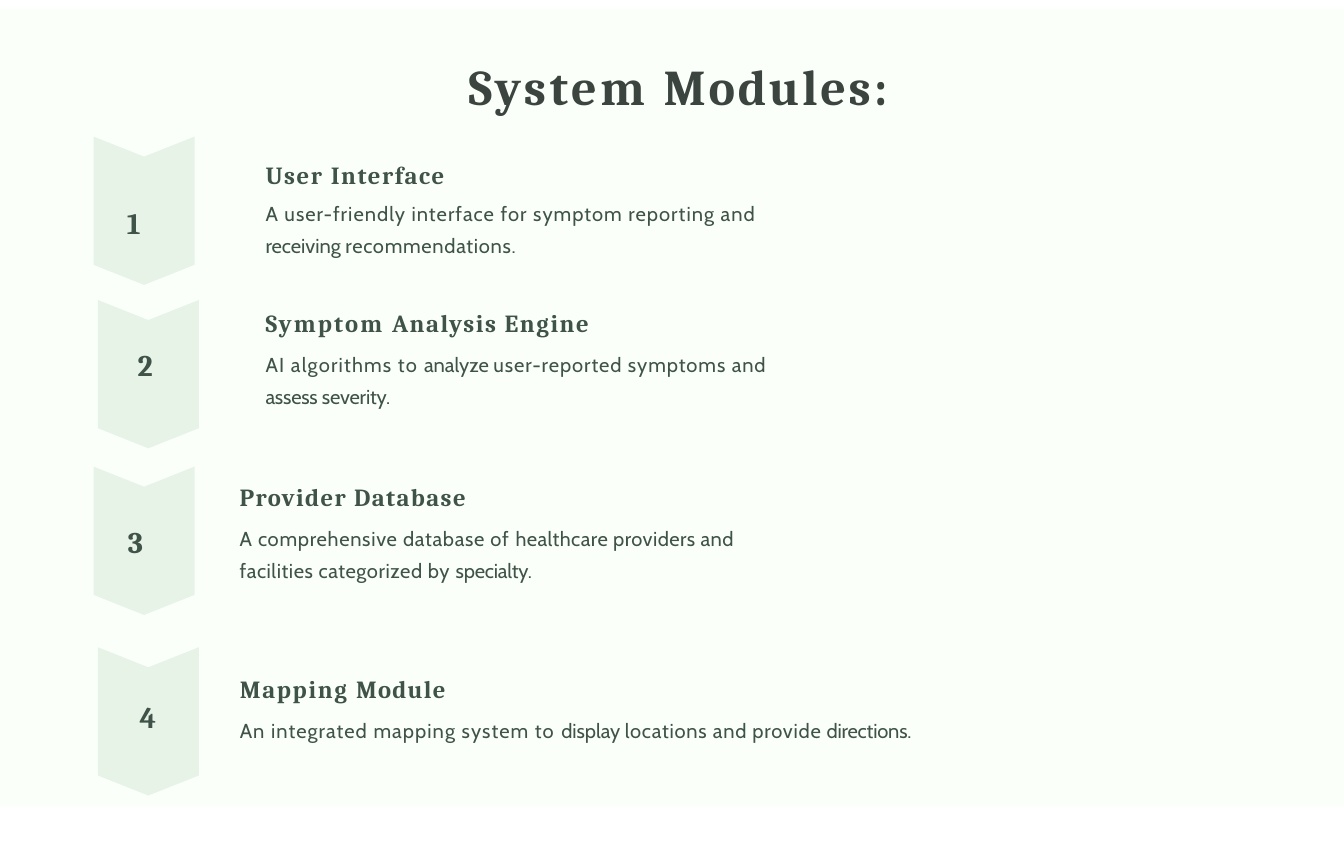
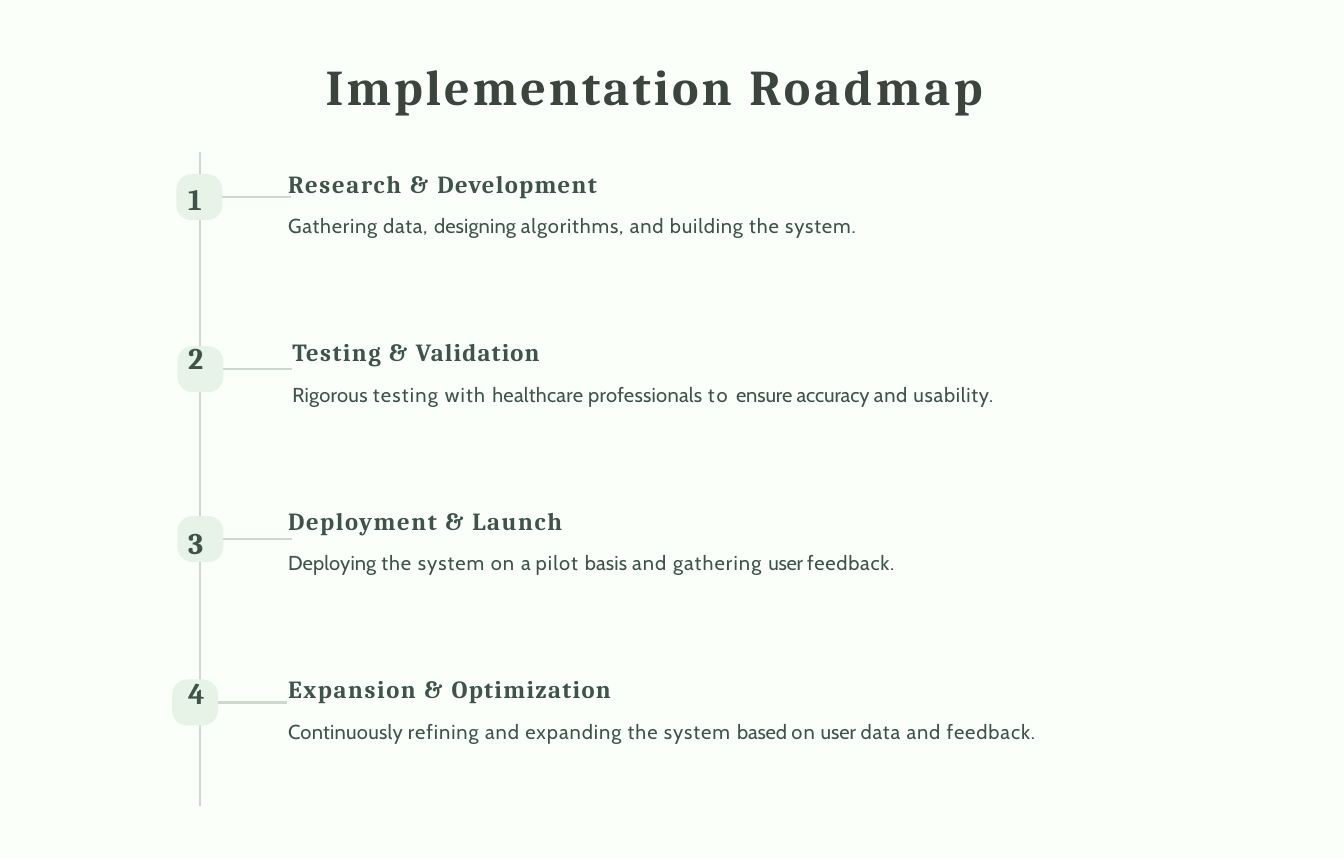
from pptx import Presentation
from pptx.dml.color import RGBColor
from pptx.enum.shapes import MSO_CONNECTOR as Line, MSO_SHAPE as Kind
from pptx.enum.text import MSO_AUTO_SIZE as Fit
from pptx.util import Inches, Pt
from lxml.etree import SubElement
from collections import namedtuple

WIDE, HIGH = 125, 79.9
CELL = Inches(0.1)
PALE, MINT, RULE = "FAFFFA", "E8F3E8", "CED9CE"
INK, DARK = "3F5349", "3B443F"
A_NS = "{http://schemas.openxmlformats.org/drawingml/2006/main}"

Style = namedtuple("Style", "font size tint bold before lead")
TITLE = Style("Cambria", 33.5, DARK, True, 1.2, 1)
DIGIT = Style("Cambria", 20, INK, True, 1.2, 1)
HEAD = Style("Cambria", 16.5, INK, True, 1.4, 1)
BODY = Style("Cabin", 13.5, INK, False, 4.7, 1.34)
LEAD = BODY._replace(before=1, lead=1.3)

MODULES = [
    (8.7, 12.7, 11.7, 18.8, 24.7, 14.7, 49, [("User Interface", 1.1)],
     [("A user-friendly interface for symptom reporting and ", 0.7),
      ("receiving ", 0), ("recommendations.", 0.5)]),
    (9.1, 27.9, 12.7, 32, 24.7, 28.4, 49,
     [("Symptom ", 1.5), ("Analysis Engine", 1.1)],
     [("AI algorithms to ", 0.78), ("analyze ", 0),
      ("user-reported symptoms and ", 0.64), ("assess severity.", -0.1)]),
    (8.7, 43.4, 11.8, 48.5, 22.3, 44.6, 52.7, [("Provider Database", 1)],
     [("A comprehensive database of ", 0.5),
      ("healthcare providers and ", 0.32),
      ("facilities categorized by ", 0.4), ("specialty.", -0.1)]),
    (9.1, 60.2, 12.9, 64.8, 22.3, 62.5, 92.9,
     [("Mapping ", 1.2), ("Module", 0.9)],
     [("An integrated mapping system to ", 0.73), ("display ", 0),
      ("locations and provide", 0.53), (" directions.", -0.1)]),
]

PHASES = [
    (16.4, 16.2, 16.6, 26.7, [("Research & ", 1.2), ("Development", 0.9)],
     [("Gathering data, ", 0.54), ("designing ", 0.1),
      ("algorithms, and building the system.", 0.6)]),
    (16.5, 32.2, 31.4, 27.1, [("Testing & ", 1), ("Validation", 0.8)],
     [("Rigorous ", 0.2), ("testing with ", 0.84),
      ("healthcare professionals ", 0.2), ("to ", 1.3),
      ("ensure accuracy ", -0.05), ("and usability.", 0.5)]),
    (16.5, 48, 48.6, 26.7, [("Deployment & Launch", 1.1)],
     [("Deploying ", 0.1), ("the system on ", 0.7), ("a ", 0.1),
      ("pilot ", 0.8), ("basis ", 0.1), ("and gathering ", 0.76),
      ("user ", -0.2), ("feedback.", 0.5)]),
    (16, 63.2, 62.6, 26.7, [("Expansion & ", 1.1), ("Optimization", 0.9)],
     [("Continuously ", 0.2), ("refining and expanding the system ", 0.64),
      ("based ", -0.1), ("on", 0.8), (" user ", 0),
      ("data and feedback.", 0.62)]),
]


def grid(*nums):
    """Turn grid units into whole lengths."""
    return [round(num * CELL) for num in nums]


def color(code):
    """Make a colour from a hex string."""
    return RGBColor.from_string(code)


def paint(shape, code):
    """Give a shape a flat fill without line or shadow."""
    shape.shadow.inherit = False
    shape.fill.solid()
    shape.fill.fore_color.rgb = color(code)
    shape.line.fill.background()
    return shape


def block(slide, kind, place, code):
    """Add a flat preset shape."""
    return paint(slide.shapes.add_shape(kind, *grid(*place)), code)


def write(slide, place, *paras):
    """Add a text box of (style, runs) paragraphs."""
    frame = slide.shapes.add_textbox(*grid(*place)).text_frame
    frame.word_wrap = True
    frame.auto_size = Fit.SHAPE_TO_FIT_TEXT
    frame.margin_left = frame.margin_right = frame.margin_bottom = 0
    frame.margin_top = Inches(0.02)
    for num, (style, runs) in enumerate(paras):
        para = frame.add_paragraph() if num else frame.paragraphs[0]
        para.space_before = Pt(style.before)
        para.line_spacing = style.lead
        font = para.font
        font.name, font.size, font.bold = style.font, Pt(style.size), style.bold
        font.color.rgb = color(style.tint)
        for text, gap in runs:
            run = para.add_run()
            run.text = text
            run.font._element.set("spc", str(round(gap * 100)))


def rule(slide, *ends):
    """Add a thin straight line."""
    line = slide.shapes.add_connector(Line.STRAIGHT, *grid(*ends))
    line.line.color.rgb = color(RULE)
    line.line.width = Pt(1.5)
    SubElement(line._element.spPr, A_NS + "effectLst")
    return line


def arrow(slide, left, top, wide=9.4, high=13.8, dip=1.87):
    """Add a notched arrow that points down."""
    mid, right, low = left + wide / 2, left + wide, top + high
    pen = slide.shapes.build_freeform(*grid(left, top), scale=1)
    pen.add_line_segments([grid(*spot) for spot in (
        (mid, top + dip), (right, top), (right, low - dip),
        (mid, low), (left, low - dip))])
    paint(pen.convert_to_shape(), MINT)


def badge(slide, left, top, size=4.28, reach=6.4):
    """Add a rounded badge with a branch to its right."""
    shape = block(slide, Kind.ROUNDED_RECTANGLE, (left, top, size, size), MINT)
    shape.adjustments[0] = 0.33
    mid, edge = top + size / 2, left + size
    rule(slide, edge, mid, edge + reach, mid).begin_connect(shape, 3)


def digit(slide, left, top, num):
    """Add a step number."""
    write(slide, (left + 0.1, top, 3, 3.7), (DIGIT, [(str(num), 0)]))


def page(deck, top, high, left, title):
    """Add a slide with its tinted ground and title."""
    slide = deck.slides.add_slide(deck.slide_layouts[6])
    block(slide, Kind.RECTANGLE, (0, top, WIDE, high), PALE)
    write(slide, (left, 5, 72, 5.8), (TITLE, title))
    return slide


def modules(deck):
    """Build the slide of system modules."""
    slide = page(deck, 0.8, 74.2, 43.6, [("System ", 2.5), ("Modules:", 1.8)])
    for num, row in enumerate(MODULES, 1):
        left, top, numx, numy, textx, texty, wide, head, body = row
        arrow(slide, left, top)
        digit(slide, numx, numy, num)
        if num == 1:
            write(slide, (textx, texty, wide, 3), (HEAD, head))
            write(slide, (textx, texty + 3.2, wide, 5.7), (LEAD, body))
        else:
            write(slide, (textx, texty, wide, 6.4), (HEAD, head), (BODY, body))


def roadmap(deck):
    """Build the slide of the roadmap."""
    slide = page(deck, 0, HIGH, 30.3, [("Implementation ", 2), ("Roadmap", 2.4)])
    rule(slide, 18.6, 14.1, 18.6, 75)
    for num, (left, top, numy, textx, head, body) in enumerate(PHASES):
        badge(slide, left, top)
        digit(slide, 17.4, numy, num + 1)
        write(slide, (textx + 0.1, 15.5 + 15.67 * num, 90, 6.4),
              (HEAD, head), (BODY, body))


def main():
    """Build and save the deck."""
    deck = Presentation()
    deck.slide_width, deck.slide_height = grid(WIDE, HIGH)
    modules(deck)
    roadmap(deck)
    deck.save("out.pptx")


if __name__ == "__main__":
    main()
